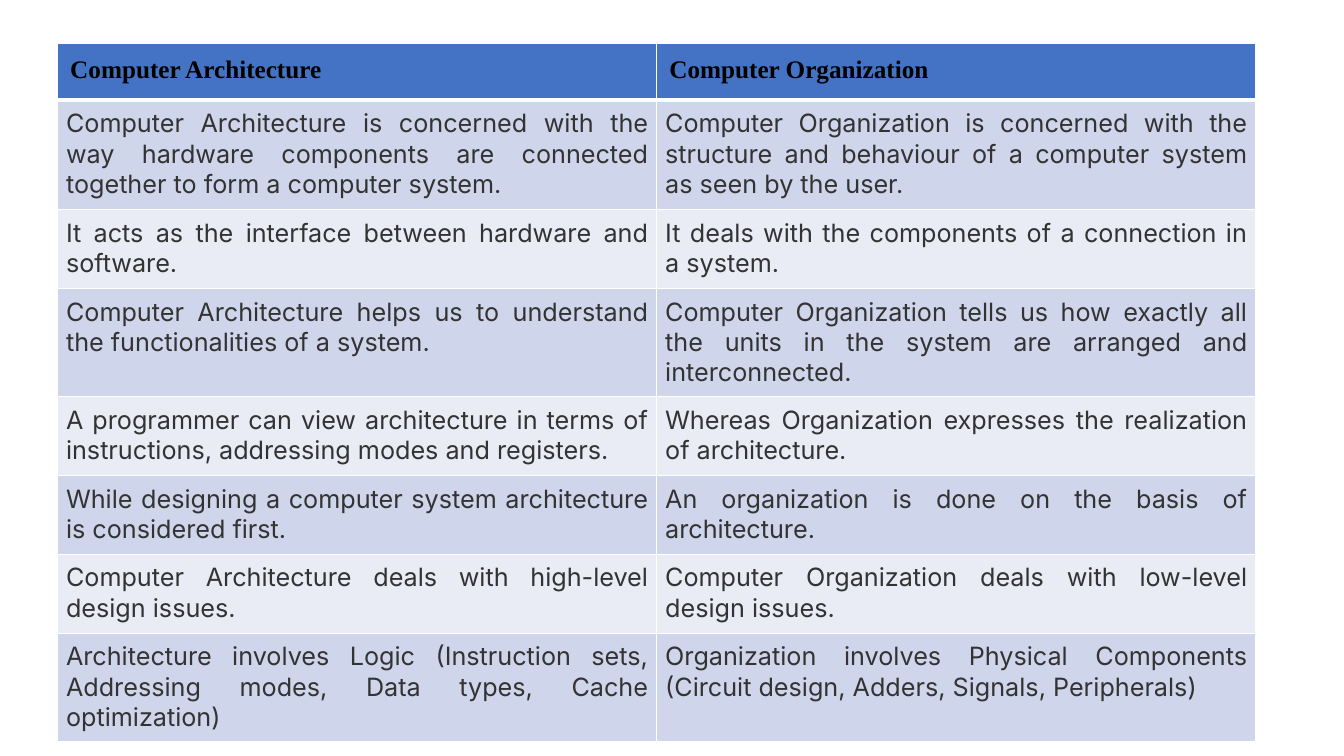
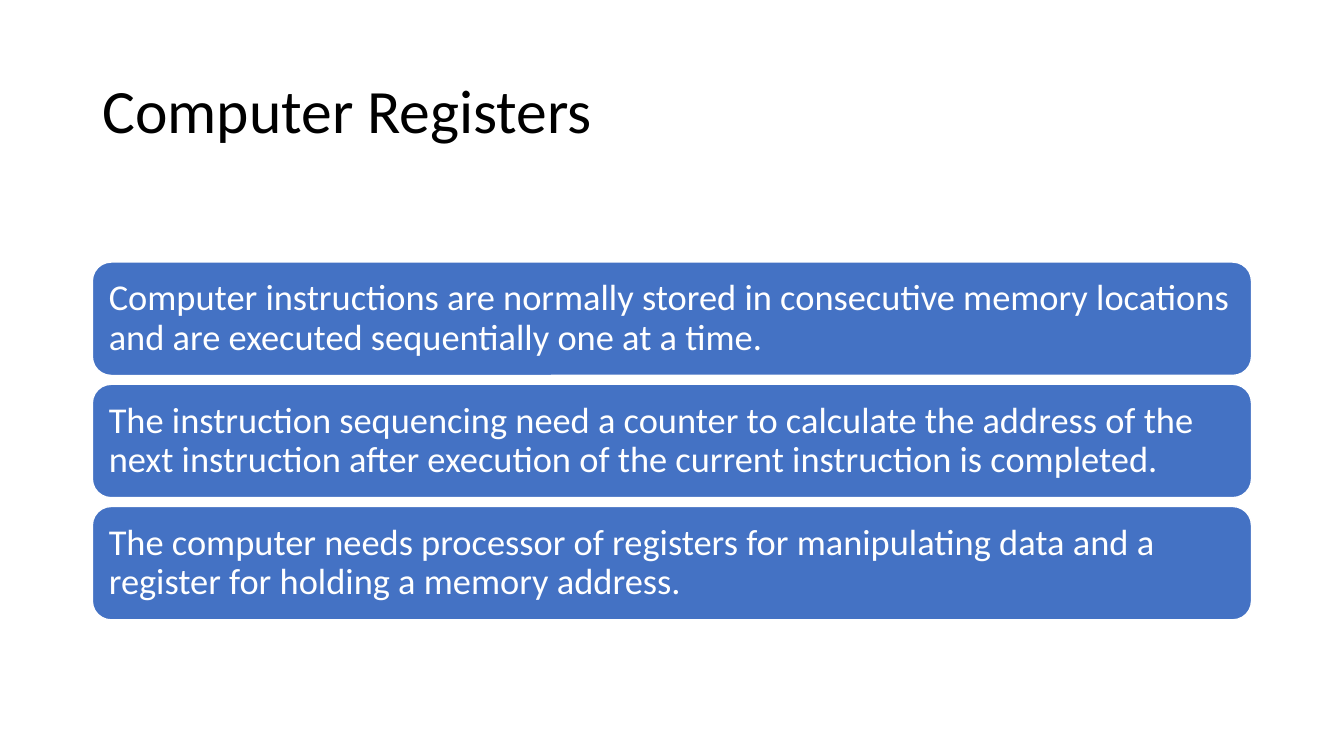
"""Build two slides: architecture versus organization, and computer registers."""
from lxml import etree
from pptx import Presentation
from pptx.dml.color import RGBColor
from pptx.enum.shapes import MSO_SHAPE
from pptx.enum.text import MSO_ANCHOR, PP_ALIGN
from pptx.oxml.ns import qn
from pptx.util import Pt

ROUNDED = MSO_SHAPE.ROUNDED_RECTANGLE
MIDDLE = MSO_ANCHOR.MIDDLE
LEFT, JUSTIFY = PP_ALIGN.LEFT, PP_ALIGN.JUSTIFY

BLUE = RGBColor(0x44, 0x72, 0xC4)
BAND_DARK = RGBColor(0xCF, 0xD5, 0xEA)
BAND_LIGHT = RGBColor(0xE9, 0xEB, 0xF5)
GREY = RGBColor(0x33, 0x33, 0x33)
BLACK = RGBColor(0, 0, 0)
WHITE = RGBColor(0xFF, 0xFF, 0xFF)

HEADER = {"name": "Times New Roman", "size": Pt(18), "bold": True, "color": BLACK}
BODY = {"name": "Inter", "size": Pt(18), "bold": False, "color": GREY}
TITLE = {"name": "Calibri", "size": Pt(44), "color": BLACK}
CARD = {"name": "Calibri", "size": Pt(26), "color": WHITE}

ROWS = [
    ("Computer Architecture", "Computer Organization"),
    ("Computer Architecture is concerned with the way hardware components are connected "
     "together to form a computer system.",
     "Computer Organization is concerned with the structure and behaviour of a computer "
     "system as seen by the user."),
    ("It acts as the interface between hardware and software.",
     "It deals with the components of a connection in a system."),
    ("Computer Architecture helps us to understand the functionalities of a system.",
     "Computer Organization tells us how exactly all the units in the system are arranged "
     "and interconnected."),
    ("A programmer can view architecture in terms of instructions, addressing modes and "
     "registers.",
     "Whereas Organization expresses the realization of architecture."),
    ("While designing a computer system architecture is considered first.",
     "An organization is done on the basis of architecture."),
    ("Computer Architecture deals with high-level design issues.",
     "Computer Organization deals with low-level design issues."),
    ("Architecture involves Logic (Instruction sets, Addressing modes, Data types, Cache "
     "optimization)",
     "Organization involves Physical Components (Circuit design, Adders, Signals, "
     "Peripherals)"),
]
ROW_HEIGHTS = [40.2, 78.2] + [56.4] * 6

CARDS = [
    "Computer instructions are normally stored in consecutive memory locations and are "
    "executed sequentially one at a time.",
    "The instruction sequencing need a counter to calculate the address of the next "
    "instruction after execution of the current instruction is completed.",
    "The computer needs processor of registers for manipulating data and a register for "
    "holding a memory address.",
]


def write(tf, text, style, align=LEFT, spacing=1.0):
    """Fill a text frame with one formatted paragraph."""
    tf.word_wrap = True
    p = tf.paragraphs[0]
    p.alignment, p.line_spacing = align, spacing
    r = p.add_run()
    r.text = text
    for key, value in style.items():
        if key == "color":
            r.font.color.rgb = value
        else:
            setattr(r.font, key, value)


def add_border(cell, side, width):
    """Draw one white edge of a table cell."""
    ln = etree.SubElement(cell._tc.get_or_add_tcPr(), qn("a:ln" + side), w=str(Pt(width)))
    fill = etree.SubElement(ln, qn("a:solidFill"))
    etree.SubElement(fill, qn("a:srgbClr"), val=str(WHITE))


prs = Presentation()
prs.slide_width, prs.slide_height = Pt(960), Pt(540)
blank = prs.slide_layouts[6]

s = prs.slides.add_slide(blank)
table = s.shapes.add_table(len(ROWS), 2, Pt(41.2), Pt(31.2), Pt(856), Pt(sum(ROW_HEIGHTS))).table
for i, texts in enumerate(ROWS):
    table.rows[i].height = Pt(ROW_HEIGHTS[i])
    for j, text in enumerate(texts):
        cell = table.cell(i, j)
        for side in "LRTB":
            add_border(cell, side, 3 if (i, side) in ((0, "B"), (1, "T")) else 1)
        cell.fill.solid()
        cell.fill.fore_color.rgb = BLUE if i == 0 else BAND_DARK if i % 2 else BAND_LIGHT
        inset = Pt(9 if i == 0 else 6)
        for edge in ("left", "right", "top", "bottom"):
            setattr(cell, "margin_" + edge, inset)
        write(cell.text_frame, text, BODY if i else HEADER, JUSTIFY if i else LEFT)

s = prs.slides.add_slide(blank)
tf = s.shapes.add_textbox(Pt(66), Pt(28.8), Pt(828), Pt(104.4)).text_frame
tf.vertical_anchor = MIDDLE
write(tf, "Computer Registers", TITLE, spacing=0.9)

for i, text in enumerate(CARDS):
    sp = s.shapes.add_shape(ROUNDED, Pt(66), Pt(187.2 + 87.3 * i), Pt(828), Pt(81))
    sp.shadow.inherit = False
    sp.fill.solid()
    sp.fill.fore_color.rgb = BLUE
    sp.line.color.rgb = WHITE
    sp.line.width = Pt(1)
    tf = sp.text_frame
    tf.vertical_anchor = MIDDLE
    for edge in ("left", "right", "top", "bottom"):
        setattr(tf, "margin_" + edge, Pt(7.8))
    write(tf, text, CARD, spacing=0.9)

prs.save("out.pptx")
